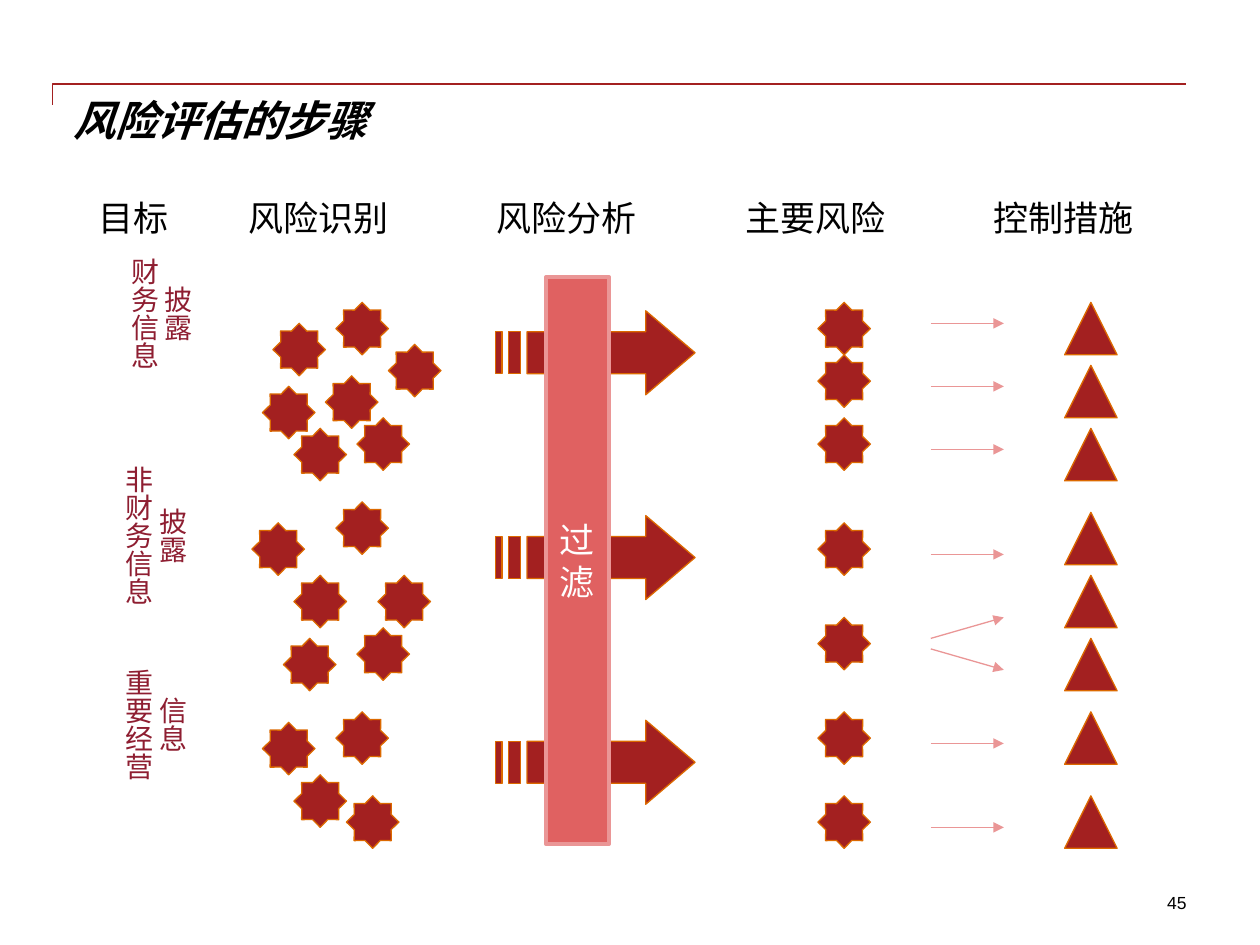
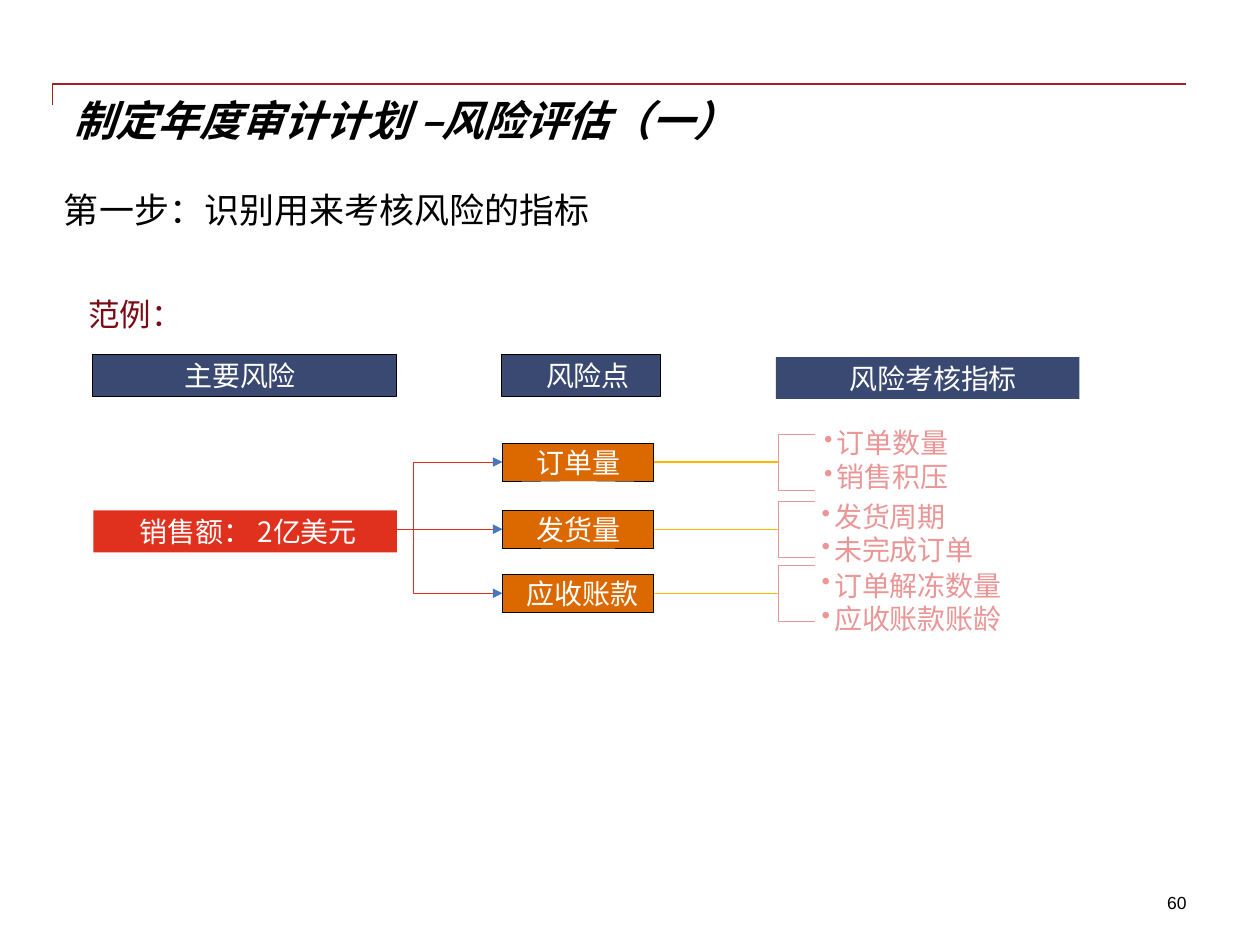
from lxml.etree import SubElement
from pptx import Presentation
from pptx.dml.color import RGBColor
from pptx.enum.shapes import MSO_CONNECTOR, MSO_SHAPE
from pptx.enum.text import MSO_ANCHOR, PP_ALIGN
from pptx.oxml.ns import qn
from pptx.util import Inches, Pt

BLACK = RGBColor(0x00, 0x00, 0x00)
WHITE = RGBColor(0xFF, 0xFF, 0xFF)
CRIMSON = RGBColor(0xA3, 0x20, 0x20)
ORANGE = RGBColor(0xDC, 0x69, 0x00)
PINK = RGBColor(0xEA, 0x96, 0x96)
CORAL = RGBColor(0xE0, 0x61, 0x61)
WINE = RGBColor(0x8E, 0x1E, 0x31)
MAROON = RGBColor(0x7B, 0x0A, 0x14)
NAVY = RGBColor(0x3A, 0x49, 0x72)
RED = RGBColor(0xE0, 0x30, 0x1E)
YELLOW = RGBColor(0xFF, 0xB6, 0x00)
BLUE = RGBColor(0x46, 0x77, 0xBF)

LATIN_FONT = "Arial"
CHINESE_FONT = "Noto Sans CJK SC"
COLUMNS, ROWS = 120, 90
FIRST_ROW = 28.8
ICON_SIZE = 5


class Deck:
    """Hold the shared style and draw on the current slide in grid cells."""

    def __init__(self):
        self.presentation = Presentation()
        self.presentation.slide_width = Inches(10)
        self.presentation.slide_height = Inches(7.5)
        self.column = self.presentation.slide_width // COLUMNS
        self.row = self.presentation.slide_height // ROWS
        self.shapes = None

    def place(self, *cells):
        units = (self.column, self.row) * 2
        return [round(cell * unit) for cell, unit in zip(cells, units)]

    def new_slide(self, title, number):
        layout = self.presentation.slide_layouts[6]
        self.shapes = self.presentation.slides.add_slide(layout).shapes
        self.outline([[(5, 10), (5, 8), (113, 8)]], line=CRIMSON, width=1, closed=False)
        self.text((7, 9, 106, 12), [title], 24, BLACK, LATIN_FONT, bold=True)
        self.text((93, 85, 20, 2), [number], 10, BLACK, LATIN_FONT, align=PP_ALIGN.RIGHT)

    def paint(self, shape, fill, line, width):
        shape.shadow.inherit = False
        if fill is None:
            shape.fill.background()
        else:
            shape.fill.solid()
            shape.fill.fore_color.rgb = fill
        if line is None:
            shape.line.fill.background()
        else:
            shape.line.color.rgb = line
            shape.line.width = Pt(width)

    def set_label(self, shape, lines, size, color, font=CHINESE_FONT, align=PP_ALIGN.LEFT,
                  anchor=MSO_ANCHOR.TOP, inset=0, bold=False, bullets=False):
        frame = shape.text_frame
        frame.word_wrap = True
        frame.vertical_anchor = anchor
        frame.margin_left = round(inset * self.column)
        frame.margin_right = frame.margin_top = frame.margin_bottom = 0
        frame.text = "\n".join(lines)
        for paragraph in frame.paragraphs:
            paragraph.alignment = align
            paragraph.line_spacing = Pt(size * 1.2)
            if bullets:
                self.add_bullet(paragraph)
            for run in paragraph.runs:
                run.font.size = Pt(size)
                run.font.name = font
                run.font.bold = run.font.italic = bold
                run.font.color.rgb = color
                east_asian = SubElement(run.font._element, qn("a:ea"))
                east_asian.set("typeface", CHINESE_FONT)

    def add_bullet(self, paragraph):
        properties = paragraph._p.get_or_add_pPr()
        properties.set("marL", str(Inches(0.1)))
        properties.set("indent", str(-Inches(0.1)))
        SubElement(properties, qn("a:buSzPct")).set("val", "90000")
        SubElement(properties, qn("a:buChar")).set("char", "•")

    def text(self, cells, lines, size, color, font=CHINESE_FONT, **style):
        shape = self.shapes.add_textbox(*self.place(*cells))
        self.set_label(shape, lines, size, color, font, **style)
        return shape

    def vertical_text(self, cells, lines):
        shape = self.text(cells, lines, 16, WINE, align=PP_ALIGN.CENTER,
                          anchor=MSO_ANCHOR.MIDDLE)
        shape.text_frame._txBody.bodyPr.set("vert", "eaVert")

    def preset(self, kind, cells, fill, line=None, width=0.75):
        shape = self.shapes.add_shape(kind, *self.place(*cells))
        self.paint(shape, fill, line, width)
        return shape

    def icon(self, kind, left, step):
        cells = (left, FIRST_ROW + step, ICON_SIZE, ICON_SIZE)
        return self.preset(kind, cells, CRIMSON, ORANGE)

    def star(self, left, step):
        self.icon(MSO_SHAPE.STAR_8_POINT, left, step).adjustments[0] = 0.38

    def label_box(self, cells, label, label_left, fill, line=None):
        shape = self.preset(MSO_SHAPE.RECTANGLE, cells, fill, line, 0.25)
        self.set_label(shape, [label], 16, WHITE, anchor=MSO_ANCHOR.MIDDLE,
                       inset=label_left - cells[0])

    def outline(self, contours, fill=None, line=None, width=0.25, closed=True):
        builder = None
        for contour in contours:
            start, *others = [self.place(*point) for point in contour]
            if builder is None:
                builder = self.shapes.build_freeform(*start)
            else:
                builder.move_to(*start)
            builder.add_line_segments(others, close=closed)
        self.paint(builder.convert_to_shape(), fill, line, width)

    def connect(self, start, end, color, width=0.75, arrow=False):
        points = self.place(*start, *end)
        connector = self.shapes.add_connector(MSO_CONNECTOR.STRAIGHT, *points)
        connector.line.color.rgb = color
        connector.line.width = Pt(width)
        if arrow:
            SubElement(connector.line._get_or_add_ln(), qn("a:tailEnd")).set("type", "triangle")
        SubElement(connector._element.spPr, qn("a:effectLst"))

    def striped_arrow(self, left, middle):
        def bar(start, end):
            return [(left + start, middle - 2), (left + end, middle - 2),
                    (left + end, middle + 2), (left + start, middle + 2)]

        neck, tip = left + 14.3, left + 19
        body = [(left + 3, middle - 2), (neck, middle - 2), (neck, middle - 4), (tip, middle),
                (neck, middle + 4), (neck, middle + 2), (left + 3, middle + 2)]
        self.outline([body, bar(1.2, 2.4), bar(0, 0.6)], CRIMSON, ORANGE, 0.75)


def build_steps(deck):
    """Draw the flow from goals to control measures."""
    deck.new_slide("风险评估的步骤", "45")
    headings = {"目标": 9.36, "风险识别": 23.65, "风险分析": 47.3, "主要风险": 71, "控制措施": 94.6}
    for heading, left in headings.items():
        deck.text((left, 18.75, 3.36 * len(heading), 4), [heading], 20, BLACK)

    goals = [("财务信息", "披露", 10.9, 32.6), ("非财务信息", "披露", 10.35, 52.4),
             ("重要经营", "信息", 10.35, 71.7)]
    for main_part, rest, left, middle in goals:
        deck.vertical_text((left, middle - 8, 8.9, 16), [rest, main_part])

    identified = [(2, 2), (13, 4), (8, 0), (7, 7), (1, 8), (10, 11), (4, 12),
                  (8, 19), (0, 21), (4, 26), (12, 26), (10, 31), (3, 32),
                  (8, 39), (1, 40), (4, 45), (9, 47)]
    for offset, step in identified:
        deck.star(24 + offset, step)
    for step in (0, 5, 11, 21, 30, 39, 47):
        deck.star(77.9, step)
    for step in (0, 6, 12, 20, 26, 32, 39, 47):
        deck.icon(MSO_SHAPE.ISOSCELES_TRIANGLE, 101.4, step)

    links = [(step, step) for step in (2, 8, 14, 24, 42, 50)] + [(32, 30), (33, 35)]
    for start, end in links:
        deck.connect((88.65, FIRST_ROW + start), (95.6, FIRST_ROW + end), PINK, arrow=True)

    for index in range(3):
        deck.striped_arrow(47.2, 33.6 + 19.5 * index)
    screen = deck.preset(MSO_SHAPE.RECTANGLE, (52, 26.4, 6, 54), CORAL, PINK, 2.25)
    deck.set_label(screen, ["过", "滤"], 20, WHITE, align=PP_ALIGN.CENTER,
                   anchor=MSO_ANCHOR.MIDDLE)


def build_indicators(deck):
    """Draw the example that splits a risk into points and indicators."""
    deck.new_slide("制定年度审计计划 –风险评估（一）", "60")
    deck.text((6.1, 18, 113, 5), ["第一步：识别用来考核风险的指标"], 20, BLACK)
    deck.text((8.4, 28.1, 9.9, 3.6), ["范例："], 18, MAROON)

    deck.label_box((8.8, 33.75, 28.9, 4), "主要风险", 17.55, NAVY, BLACK)
    deck.label_box((47.75, 33.75, 15.15, 4), "风险点", 52, NAVY, BLACK)
    deck.label_box((73.9, 34, 28.9, 4), "风险考核指标", 80.9, NAVY)
    deck.label_box((8.9, 48.6, 28.9, 4), "销售额： 2亿美元", 13.3, RED)

    trunk, source = 39.4, (37.2, 50.4)
    risk_points = [
        ("订单量", 51.1, 44, 78.5, 40.55, ["订单数量", "销售积压"]),
        ("发货量", 51.1, 50.4, 78.25, 47.55, ["发货周期", "未完成订单"]),
        ("应收账款", 50.15, 56.5, 78.25, 54.1, ["订单解冻数量", "应收账款账龄"]),
    ]
    for name, name_left, middle, list_left, list_top, indicators in risk_points:
        if middle == source[1]:
            deck.connect(source, (47, middle), RED, 0.25)
        else:
            elbow = [source, (trunk, source[1]), (trunk, middle), (47, middle)]
            deck.outline([elbow], line=RED, closed=False)
        deck.outline([[(46.95, middle - 0.45), (47.85, middle), (46.95, middle + 0.45)]], BLUE)
        deck.label_box((47.85, middle - 1.8, 14.4, 3.6), name, name_left, ORANGE, BLACK)
        deck.connect((62.3, middle), (74.15, middle), YELLOW)
        top, bottom = middle - 2.65, middle + 2.65
        bracket = [(77.65, top), (74.15, top), (74.15, bottom), (77.65, bottom)]
        deck.outline([bracket], line=PINK, closed=False)
        deck.text((list_left, list_top, 17.3, 6.45), indicators, 16, PINK, bullets=True)


def main():
    """Build both slides and save the file."""
    deck = Deck()
    build_steps(deck)
    build_indicators(deck)
    deck.presentation.save("out.pptx")


if __name__ == "__main__":
    main()
